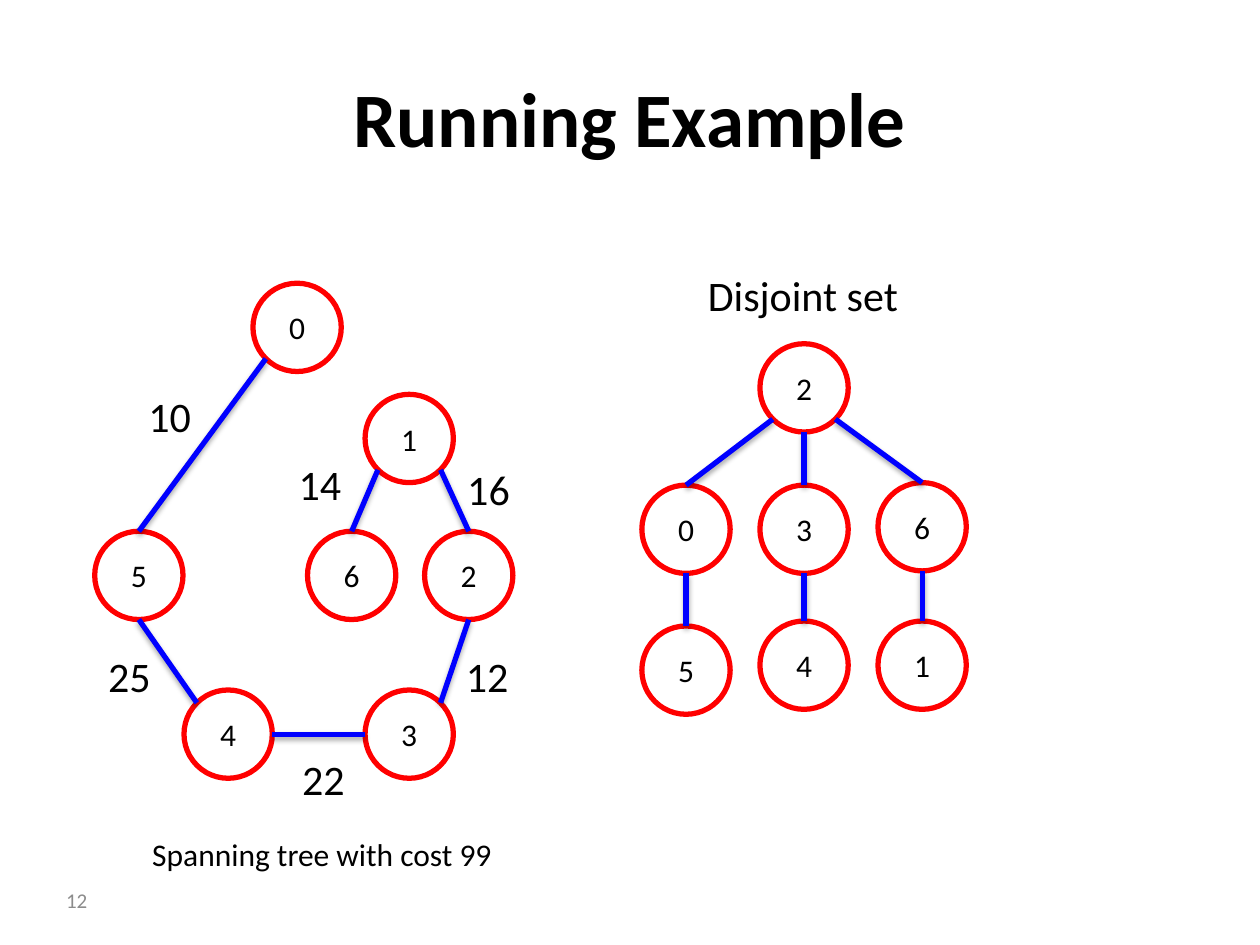
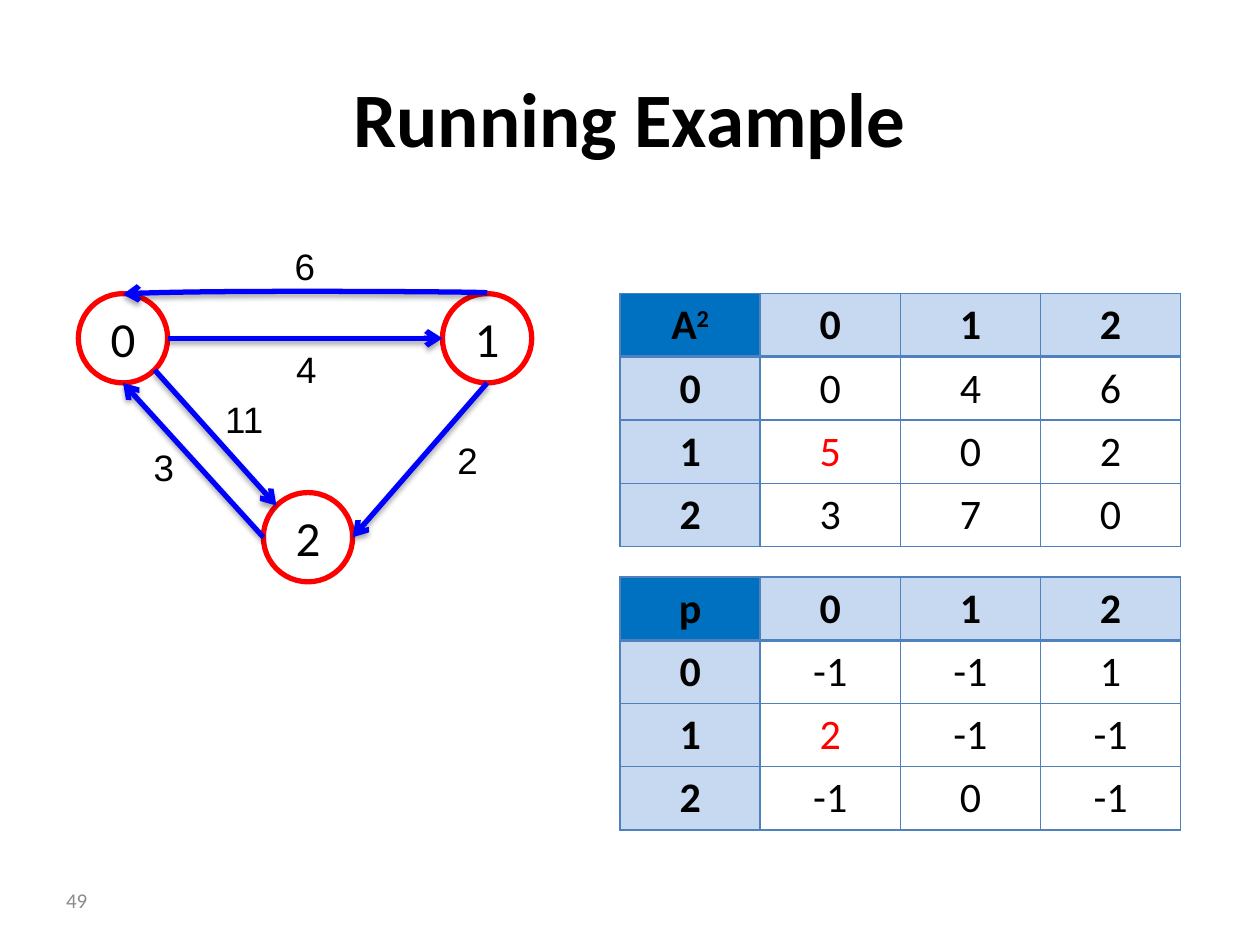
from lxml import etree
from pptx import Presentation
from pptx.dml.color import RGBColor
from pptx.enum.shapes import MSO_CONNECTOR, MSO_SHAPE
from pptx.enum.text import MSO_ANCHOR, PP_ALIGN
from pptx.oxml import parse_xml
from pptx.oxml.ns import nsdecls, qn
from pptx.util import Cm, Pt

BLACK = RGBColor(0x00, 0x00, 0x00)
GREY = RGBColor(0x8C, 0x8C, 0x8C)
NODE_RED = RGBColor(0xFF, 0x00, 0x00)
EDGE_BLUE = RGBColor(0x00, 0x00, 0xFF)
CORNER_BLUE = RGBColor(0x00, 0x70, 0xC0)
HEADER_BLUE = RGBColor(0xC6, 0xD9, 0xF1)
BORDER_BLUE = RGBColor(0x4F, 0x81, 0xBD)

# Points on a node's rim, as multiples of its radius
DIAGONAL = 0.71
SITES = {
    "top": (0, -1), "bottom": (0, 1), "left": (-1, 0), "right": (1, 0),
    "upper left": (-DIAGONAL, -DIAGONAL), "lower left": (-DIAGONAL, DIAGONAL),
    "upper right": (DIAGONAL, -DIAGONAL), "lower right": (DIAGONAL, DIAGONAL),
}


# Text
def style_span(span, size, color=BLACK, bold=False, font="Calibri"):
    span.font.name = font
    span.font.size = Pt(size)
    span.font.bold = bold
    span.font.color.rgb = color


def add_text(page, text, left, top, width, height, size, align=PP_ALIGN.LEFT,
             anchor=MSO_ANCHOR.TOP, wrap=True, **style):
    box = page.shapes.add_textbox(Cm(left), Cm(top), Cm(width), Cm(height))
    frame = box.text_frame
    frame.text = text
    frame.word_wrap = wrap
    frame.vertical_anchor = anchor
    para = frame.paragraphs[0]
    para.alignment = align
    style_span(para.runs[0], size, **style)


def add_page(deck, title, number):
    page = deck.slides.add_slide(deck.slide_layouts[6])
    add_text(page, title, 1.27, 0.76, 22.86, 3.18, 44, PP_ALIGN.CENTER,
             MSO_ANCHOR.MIDDLE, bold=True)
    add_text(page, number, 0, 17.65, 2.01, 1.01, 12, PP_ALIGN.RIGHT,
             MSO_ANCHOR.MIDDLE, color=GREY)
    return page


# Graphs
def add_node(page, name, center, diameter, size):
    x, y = center
    node = page.shapes.add_shape(
        MSO_SHAPE.OVAL, Cm(x - diameter / 2), Cm(y - diameter / 2),
        Cm(diameter), Cm(diameter))
    node.shadow.inherit = False
    node.fill.background()
    node.line.color.rgb = NODE_RED
    node.line.width = Pt(3)
    frame = node.text_frame
    frame.text = name
    frame.word_wrap = False
    frame.margin_left = frame.margin_right = 0
    frame.vertical_anchor = MSO_ANCHOR.MIDDLE
    para = frame.paragraphs[0]
    para.alignment = PP_ALIGN.CENTER
    style_span(para.runs[0], size)


def add_edge(page, start, end, kind=MSO_CONNECTOR.STRAIGHT, arrow_at=None):
    edge = page.shapes.add_connector(kind, *[Cm(v) for v in (*start, *end)])
    edge.line.color.rgb = EDGE_BLUE
    edge.line.width = Pt(3)
    if arrow_at:
        line = edge.line._get_or_add_ln()
        etree.SubElement(line, qn(f"a:{arrow_at}"), type="arrow")
    edge._element.spPr.append(parse_xml(
        f'<a:effectLst {nsdecls("a")}>'
        f'<a:outerShdw blurRad="{Pt(3.1)}" dist="{Pt(1.8)}" dir="5400000" rotWithShape="0">'
        '<a:srgbClr val="000000"><a:alpha val="35000"/></a:srgbClr>'
        '</a:outerShdw></a:effectLst>'))
    return edge


def add_curved_edge(page, left_end, right_end, rise=0.03):
    """Shallow arc above two points, with its arrowhead at the left one."""
    middle = (left_end[0] + right_end[0]) / 2
    half = (right_end[0] - left_end[0]) / 2
    y = left_end[1]
    edge = add_edge(page, (middle + rise / 2, y + half), (middle - rise / 2, y - half),
                    MSO_CONNECTOR.CURVE, "headEnd")
    properties = edge._element.spPr
    properties.find(qn("a:xfrm")).set("rot", "5400000")
    guides = properties.find(qn("a:prstGeom")).get_or_add_avLst()
    etree.SubElement(guides, qn("a:gd"), name="adj1", fmla="val 200000")


def add_graph(page, centers, edges, diameter, size, arrow_at=None):
    def rim(name, site):
        (x, y), (across, down) = centers[name], SITES[site]
        return x + across * diameter / 2, y + down * diameter / 2

    for name, center in centers.items():
        add_node(page, name, center, diameter, size)
    for first, first_site, second, second_site in edges:
        add_edge(page, rim(first, first_site), rim(second, second_site),
                 arrow_at=arrow_at)


# Tables
def set_borders(cell, bottom_width):
    properties = cell._tc.get_or_add_tcPr()
    for side, width in (("L", 1), ("R", 1), ("T", 1), ("B", bottom_width)):
        properties.append(parse_xml(
            f'<a:ln{side} {nsdecls("a")} w="{Pt(width)}"><a:solidFill>'
            f'<a:srgbClr val="{BORDER_BLUE}"/></a:solidFill></a:ln{side}>'))


def add_matrix(page, top, name, rows, changed, exponent=""):
    """Square matrix with numbered headers; the changed cell is red."""
    count = len(rows) + 1
    table = page.shapes.add_table(
        count, count, Cm(12.5), Cm(top), Cm(11.3), Cm(5.1)).table
    table.first_row = table.horz_banding = False
    numbers = [str(index) for index in range(len(rows))]
    grid = [[name, *numbers]]
    grid += [[number, *row] for number, row in zip(numbers, rows)]
    for r, texts in enumerate(grid):
        for c, text in enumerate(texts):
            cell = table.cell(r, c)
            is_header = r == 0 or c == 0
            set_borders(cell, 2 if r == 0 else 1)
            if is_header:
                cell.fill.solid()
                cell.fill.fore_color.rgb = CORNER_BLUE if r == c else HEADER_BLUE
            else:
                cell.fill.background()
            cell.text = text
            para = cell.text_frame.paragraphs[0]
            para.alignment = PP_ALIGN.CENTER
            if r == c == 0 and exponent:
                span = para.add_run()
                span.text = exponent
                span._r.get_or_add_rPr().set("baseline", "30000")
            for span in para.runs:
                style_span(span, 24, NODE_RED if (r, c) == changed else BLACK, is_header)


# Slides
def add_spanning_tree_page(deck):
    page = add_page(deck, "Running Example", "12")
    tree_centers = {
        "0": (5.99, 6.6), "1": (8.25, 8.84), "2": (9.45, 11.6), "3": (8.25, 14.8),
        "4": (4.6, 14.8), "5": (2.8, 11.6), "6": (7.09, 11.6),
    }
    tree_edges = [
        ("5", "top", "0", "lower left"), ("2", "bottom", "3", "upper right"),
        ("1", "lower left", "6", "top"), ("2", "top", "1", "lower right"),
        ("3", "left", "4", "right"), ("5", "bottom", "4", "upper left"),
    ]
    add_graph(page, tree_centers, tree_edges, 1.78, 18)
    weights = {
        "10": (2.74, 7.75), "12": (9.14, 12.98), "14": (5.77, 9.12),
        "16": (9.17, 9.22), "22": (5.84, 15.06), "25": (1.93, 12.98),
    }
    for weight, (left, top) in weights.items():
        add_text(page, weight, left, top, 1.37, 1.27, 24, wrap=False)
    add_text(page, "Spanning tree with cost 99", 2.82, 16.71, 7.44, 1.02, 18, wrap=False)

    # Disjoint set forest
    left, middle, right = [13.83 + 2.38 * column for column in range(3)]
    set_centers = {
        "2": (middle, 7.82), "0": (left, 10.67), "3": (middle, 10.67),
        "6": (right, 10.62), "5": (left, 13.51), "4": (middle, 13.41),
        "1": (right, 13.41),
    }
    set_edges = [("2", "lower left", "0", "top"), ("2", "lower right", "6", "top")]
    set_edges += [(parent, "bottom", child, "top")
                  for parent, child in ("23", "05", "34", "61")]
    add_graph(page, set_centers, set_edges, 1.78, 18)
    add_text(page, "Disjoint set", 14.02, 5.31, 4.37, 1.27, 24, wrap=False)


def add_shortest_path_page(deck):
    page = add_page(deck, "Running Example", "49")
    centers = {"0": (2.48, 6.82), "1": (9.82, 6.82), "2": (6.21, 10.83)}
    edges = [
        ("2", "left", "0", "bottom"), ("0", "lower right", "2", "upper left"),
        ("0", "right", "1", "left"), ("1", "bottom", "2", "right"),
    ]
    add_graph(page, centers, edges, 1.8, 28, "tailEnd")
    add_curved_edge(page, (2.48, 5.92), (9.82, 5.92))
    weights = {
        "2": (8.13, 8.69), "4": (4.88, 6.86), "6": (4.85, 4.78),
        "11": (3.63, 7.87), "3": (2.01, 8.84),
    }
    for weight, (left, top) in weights.items():
        add_text(page, weight, left, top, 2.59, 1.14, 21, PP_ALIGN.CENTER, font="Arial")

    add_matrix(page, 5.92, "A", [("0", "4", "6"), ("5", "0", "2"), ("3", "7", "0")],
               (2, 1), exponent="2")
    add_matrix(page, 11.63, "p", [("-1", "-1", "1"), ("2", "-1", "-1"), ("-1", "0", "-1")],
               (2, 1))


def main():
    deck = Presentation()
    deck.slide_width = Cm(25.4)
    deck.slide_height = Cm(19.05)
    add_spanning_tree_page(deck)
    add_shortest_path_page(deck)
    deck.save("out.pptx")


if __name__ == "__main__":
    main()
